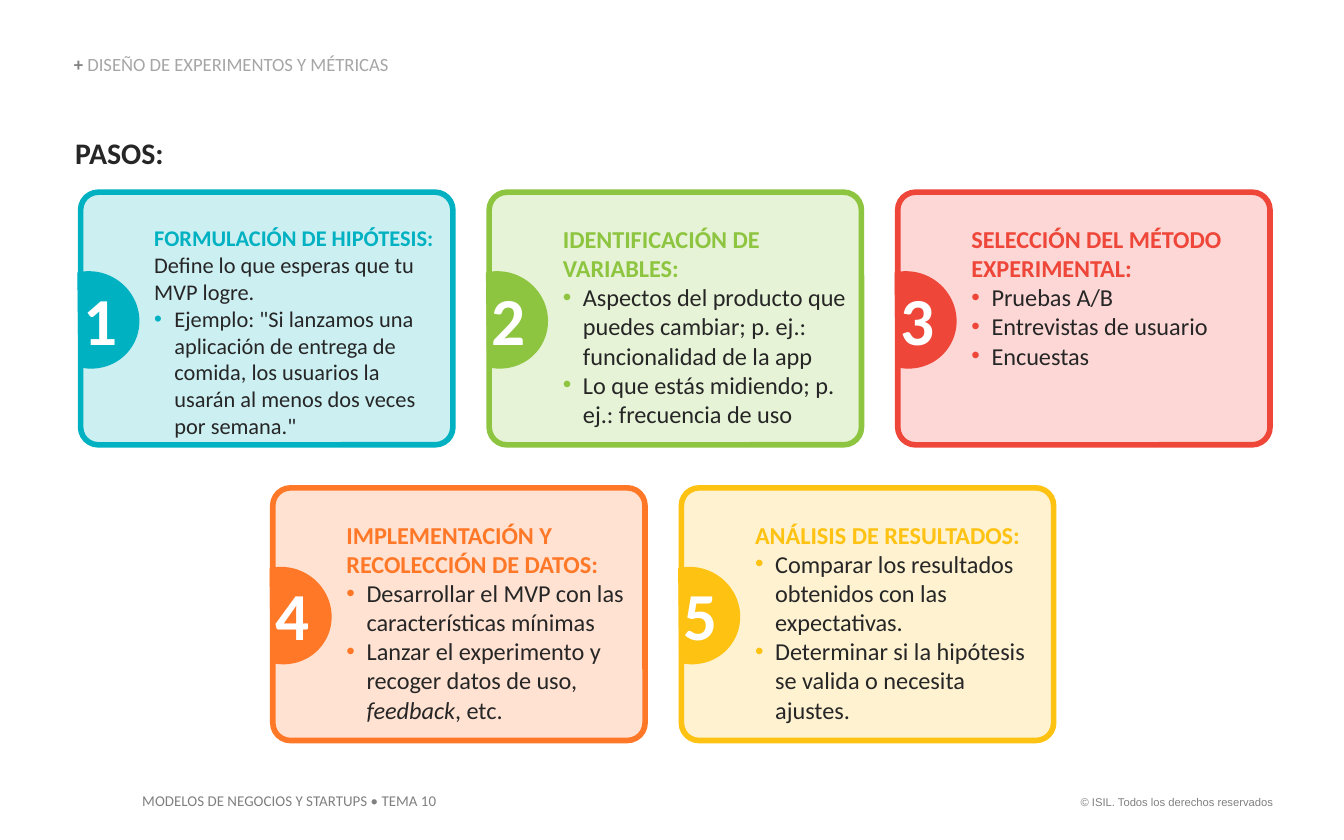
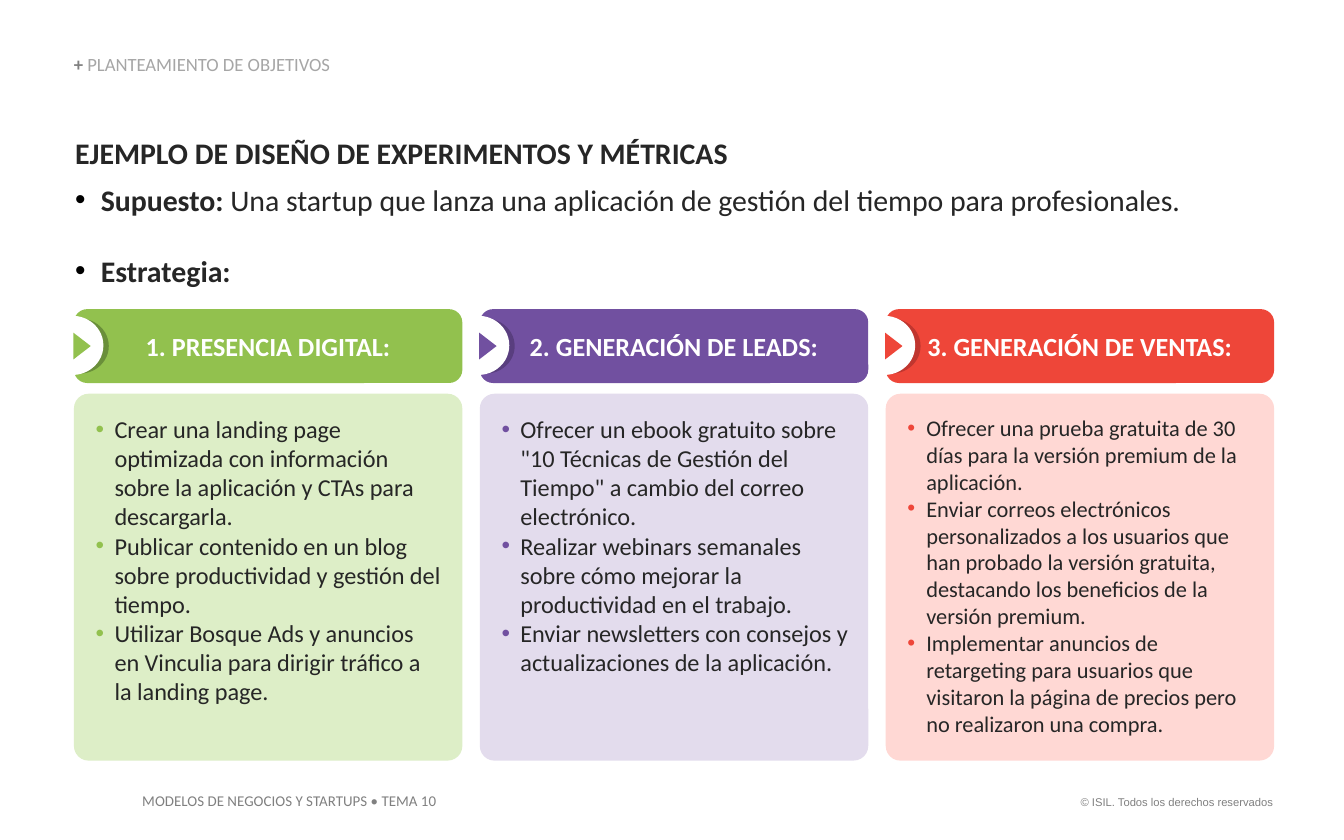
"""Build two slides on designing experiments and metrics for an MVP."""
from dataclasses import dataclass

import pptx
import pptx.dml.color
import pptx.enum.shapes
import pptx.enum.text
import pptx.oxml
import pptx.oxml.ns
import pptx.util
from pptx.util import Inches

SHAPE = pptx.enum.shapes.MSO_SHAPE
ALIGN = pptx.enum.text.PP_ALIGN
ANCHOR = pptx.enum.text.MSO_ANCHOR


@dataclass(frozen=True)
class Theme:
    font: str = "Calibri"
    legal_font: str = "Arial"
    ink: str = "262626"
    grey: str = "808080"
    pale_grey: str = "A6A6A6"
    white: str = "FFFFFF"
    black: str = "000000"
    legal_size: int = 6
    footer_size: int = 8
    section_size: int = 10
    label_size: int = 14
    heading_size: int = 16
    number_size: int = 36


THEME = Theme()

COURSE = "MODELOS DE NEGOCIOS Y STARTUPS • TEMA 10"
COPYRIGHT = "© ISIL. Todos los derechos reservados"

STEPS_SECTION = "DISEÑO DE EXPERIMENTOS Y MÉTRICAS"
STEPS_HEADING = "PASOS:"
STEPS = [
    dict(title="FORMULACIÓN DE HIPÓTESIS:", accent="00B1C2", tint="CCEFF2", size=12,
         intro="Define lo que esperas que tu MVP logre.",
         points=['Ejemplo: "Si lanzamos una aplicación de entrega de comida, los usuarios '
                 'la usarán al menos dos veces por semana."']),
    dict(title="IDENTIFICACIÓN DE VARIABLES:", accent="8EC540", tint="E6F3D6", size=13,
         points=["Aspectos del producto que puedes cambiar; p. ej.: funcionalidad de la app",
                 "Lo que estás midiendo; p. ej.: frecuencia de uso"]),
    dict(title="SELECCIÓN DEL MÉTODO EXPERIMENTAL:", accent="EE4639", tint="FCD7D5", size=13,
         points=["Pruebas A/B", "Entrevistas de usuario", "Encuestas"]),
    dict(title="IMPLEMENTACIÓN Y RECOLECCIÓN DE DATOS:", accent="FF7828", tint="FFE2D2", size=13,
         points=["Desarrollar el MVP con las características mínimas",
                 [("Lanzar el experimento y recoger datos de uso, ", {}),
                  ("feedback", {"italic": True}), (", etc.", {})]]),
    dict(title="ANÁLISIS DE RESULTADOS:", accent="FEC212", tint="FFF2D1", size=13,
         points=["Comparar los resultados obtenidos con las expectativas.",
                 "Determinar si la hipótesis se valida o necesita ajustes."]),
]
STEP_ROWS = [(0.6, 1.43, STEPS[:3]), (2.03, 3.63, STEPS[3:])]
STEP_PITCH = 3.04

EXAMPLE_SECTION = "PLANTEAMIENTO DE OBJETIVOS"
EXAMPLE_HEADING = "EJEMPLO DE DISEÑO DE EXPERIMENTOS Y MÉTRICAS"
EXAMPLE_POINTS = [
    ("Supuesto: ", "Una startup que lanza una aplicación de gestión del tiempo para profesionales."),
    ("Estrategia:", ""),
]
GOALS = [
    dict(title="1. PRESENCIA DIGITAL:", accent="92C14E", shade="6A8F3A", tint="DDEEC7", size=13,
         points=["Crear una landing page optimizada con información sobre la aplicación "
                 "y CTAs para descargarla.",
                 "Publicar contenido en un blog sobre productividad y gestión del tiempo.",
                 "Utilizar Bosque Ads y anuncios en Vinculia para dirigir tráfico a la landing page."]),
    dict(title="2. GENERACIÓN DE LEADS:", accent="7150A0", shade="593E7F", tint="E3DCED", size=13,
         points=['Ofrecer un ebook gratuito sobre "10 Técnicas de Gestión del Tiempo" '
                 'a cambio del correo electrónico.',
                 "Realizar webinars semanales sobre cómo mejorar la productividad en el trabajo.",
                 "Enviar newsletters con consejos y actualizaciones de la aplicación."]),
    dict(title="3. GENERACIÓN DE VENTAS:", accent="EE4639", shade="C0362F", tint="FFD8D4", size=12,
         points=["Ofrecer una prueba gratuita de 30 días para la versión premium de la aplicación.",
                 "Enviar correos electrónicos personalizados a los usuarios que han probado "
                 "la versión gratuita, destacando los beneficios de la versión premium.",
                 "Implementar anuncios de retargeting para usuarios que visitaron la página "
                 "de precios pero no realizaron una compra."]),
]
GOAL_LEFT, GOAL_PITCH = 0.55, 3.02


def rgb(value):
    return pptx.dml.color.RGBColor.from_string(value)


def style(font, **settings):
    for key, value in settings.items():
        if key == "color":
            font.color.rgb = rgb(value)
        else:
            setattr(font, key, value)


def write(frame, content, size, color, bold=False, font=THEME.font, bullet=None,
          indent=(0, 0), align=ALIGN.LEFT, before=0, after=0, spacing=1.0):
    last = frame.paragraphs[-1]
    paragraph = frame.add_paragraph() if last.runs else last
    props = paragraph._p.get_or_add_pPr()
    props.set("marL", str(Inches(indent[0])))
    props.set("indent", str(Inches(indent[1])))
    namespace = pptx.oxml.ns.nsdecls("a")
    if bullet:
        marks = [f'<a:buClr {namespace}><a:srgbClr val="{bullet}"/></a:buClr>',
                 f'<a:buFont {namespace} typeface="Arial"/>',
                 f'<a:buChar {namespace} char="•"/>']
    else:
        marks = [f"<a:buNone {namespace}/>"]
    for mark in marks:
        props.append(pptx.oxml.parse_xml(mark))
    paragraph.alignment = align
    paragraph.line_spacing = spacing
    paragraph.space_before = pptx.util.Pt(before)
    paragraph.space_after = pptx.util.Pt(after)
    style(paragraph.font, name=font, size=pptx.util.Pt(size), color=color, bold=bold)
    for text, settings in [(content, {})] if isinstance(content, str) else content:
        run = paragraph.add_run()
        run.text = text
        style(run.font, **settings)


def prepare(frame, insets, anchor=ANCHOR.TOP):
    frame.word_wrap = True
    frame.auto_size = pptx.enum.text.MSO_AUTO_SIZE.NONE
    frame.vertical_anchor = anchor
    (frame.margin_left, frame.margin_top,
     frame.margin_right, frame.margin_bottom) = map(Inches, insets)
    return frame


def place(shape, box):
    shape.left, shape.top, shape.width, shape.height = map(Inches, box)
    return shape


def add_text(slide, box, content, size, color, **options):
    frame = slide.shapes.add_textbox(*map(Inches, box)).text_frame
    write(prepare(frame, (0.1, 0.05, 0.1, 0.05)), content, size, color, **options)


def add_figure(slide, preset, box, fill, adjustments=(), outline=None, rotation=0):
    figure = slide.shapes.add_shape(preset, *map(Inches, box))
    figure.shadow.inherit = False
    figure.fill.solid()
    figure.fill.fore_color.rgb = rgb(fill)
    if outline:
        figure.line.color.rgb = rgb(outline)
        figure.line.width = pptx.util.Pt(3)
    else:
        figure.line.fill.background()
    for position, value in enumerate(adjustments):
        figure.adjustments[position] = value
    figure.rotation = rotation
    return figure


def start_slide(deck, section, heading, body_box):
    slide = deck.slides.add_slide(deck.slide_layouts[1])
    add_text(slide, (7.88, 5.87, 1.69, 0.2), COPYRIGHT, THEME.legal_size, THEME.grey,
             font=THEME.legal_font, align=ALIGN.RIGHT)
    add_text(slide, (0.96, 5.84, 2.45, 0.24), COURSE, THEME.footer_size, THEME.grey)
    title = place(slide.shapes.title, (0.55, 0.41, 4.25, 0.15)).text_frame
    write(prepare(title, (0, 0, 0, 0), ANCHOR.BOTTOM),
          [("+ ", {"bold": True}), (section, {"color": THEME.pale_grey})],
          THEME.section_size, THEME.grey, spacing=0.9)
    body = prepare(place(slide.placeholders[1], body_box).text_frame, (0, 0, 0, 0))
    write(body, heading, THEME.heading_size, THEME.ink, bold=True, indent=(0.01, 0), after=6)
    return slide, body


def add_step(slide, number, step, left, top):
    accent, size = step["accent"], step["size"]
    card = add_figure(slide, SHAPE.ROUNDED_RECTANGLE, (left, top, 2.77, 1.88),
                      step["tint"], (0.07,), accent)
    frame = prepare(card.text_frame, (0.51, 0.2, 0.04, 0.05))
    write(frame, step["title"], size, accent, bold=True)
    if "intro" in step:
        write(frame, step["intro"], size, THEME.ink)
    for point in step["points"]:
        write(frame, point, size, THEME.ink, bullet=accent, indent=(0.15, -0.15))
    add_figure(slide, SHAPE.CHORD, (left - 0.3, top + 0.59, 0.74, 0.72), accent,
               (27, 152.33), rotation=210)
    add_text(slide, (left - 0.08, top + 0.59, 0.41, 0.71), str(number),
             THEME.number_size, THEME.white, bold=True)


def add_goal(slide, goal, left):
    accent = goal["accent"]
    label = add_figure(slide, SHAPE.ROUNDED_RECTANGLE, (left, 2.3, 2.89, 0.55), accent, (0.18,))
    write(prepare(label.text_frame, (0.1, 0.05, 0.1, 0.05), ANCHOR.MIDDLE), goal["title"],
          THEME.label_size, THEME.white, bold=True, align=ALIGN.CENTER)
    panel = add_figure(slide, SHAPE.ROUNDED_RECTANGLE, (left, 2.93, 2.89, 2.73),
                       goal["tint"], (0.04,))
    frame = prepare(panel.text_frame, (0.12, 0.12, 0.12, 0.05))
    for point in goal["points"]:
        write(frame, point, goal["size"], THEME.ink, bullet=accent, indent=(0.15, -0.14))
    add_figure(slide, SHAPE.OVAL, (left - 0.17, 2.37, 0.43, 0.41), goal["shade"])
    add_figure(slide, SHAPE.OVAL, (left - 0.24, 2.35, 0.46, 0.44), THEME.white)
    add_figure(slide, SHAPE.ISOSCELES_TRIANGLE, (left - 0.04, 2.51, 0.2, 0.13), accent, rotation=90)


def build_steps(deck):
    slide, _ = start_slide(deck, STEPS_SECTION, STEPS_HEADING, (0.55, 1, 5.29, 0.27))
    number = 0
    for left, top, steps in STEP_ROWS:
        for column, step in enumerate(steps):
            number += 1
            add_step(slide, number, step, left + column * STEP_PITCH, top)


def build_example(deck):
    slide, body = start_slide(deck, EXAMPLE_SECTION, EXAMPLE_HEADING, (0.55, 1, 8.93, 1.16))
    for position, (term, detail) in enumerate(EXAMPLE_POINTS):
        runs = [(term, {"bold": True})] + ([(detail, {})] if detail else [])
        write(body, runs, THEME.heading_size, THEME.ink, bullet=THEME.black,
              indent=(0.2, -0.19), before=19 * position)
    for column, goal in reversed(list(enumerate(GOALS))):
        add_goal(slide, goal, GOAL_LEFT + column * GOAL_PITCH)


def main():
    deck = pptx.Presentation()
    deck.slide_width, deck.slide_height = Inches(10), Inches(6.25)
    build_steps(deck)
    build_example(deck)
    deck.save("out.pptx")


if __name__ == "__main__":
    main()
